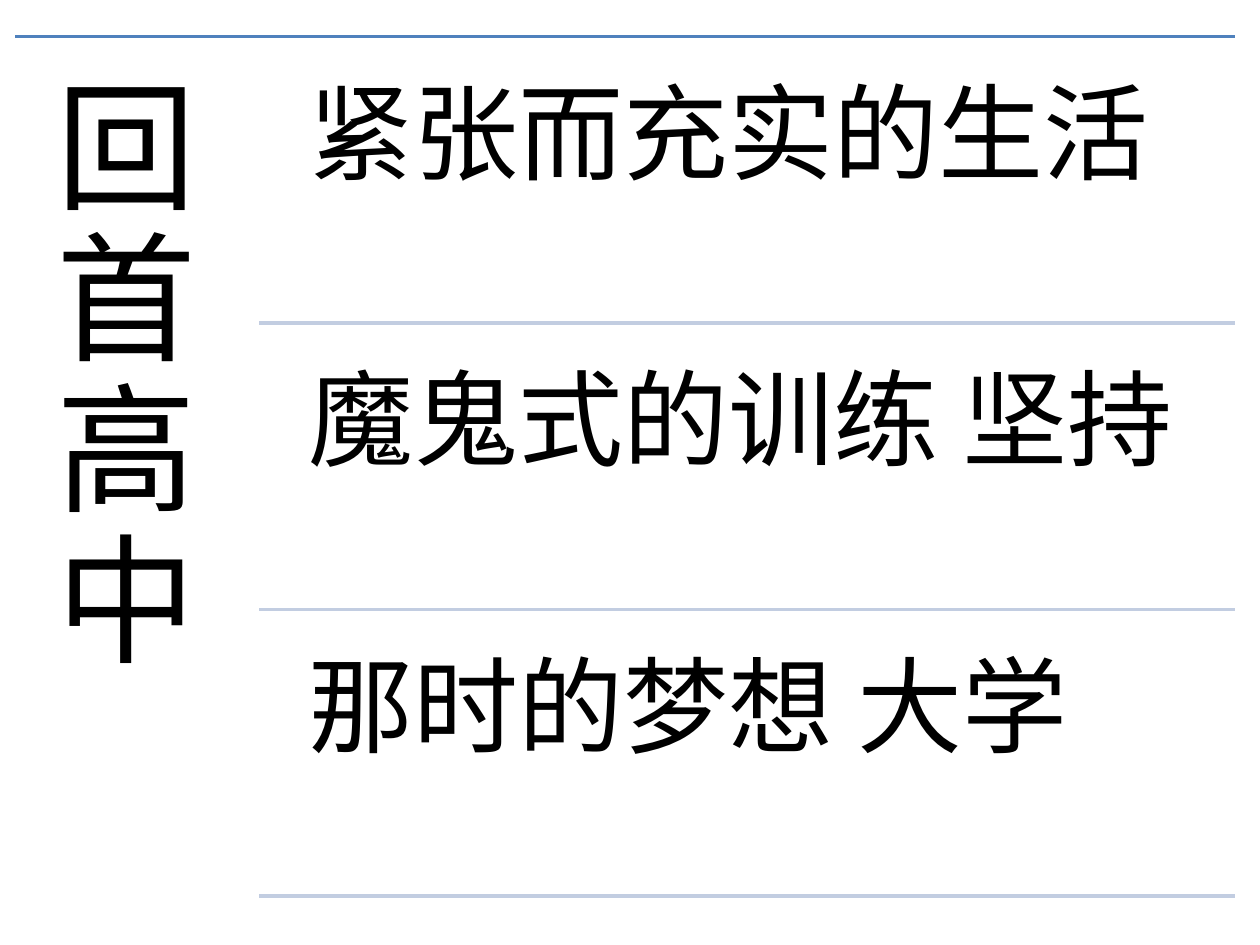
"""Build the high-school memories slide: a stacked title beside three ruled rows."""
from dataclasses import dataclass

from lxml import etree
from pptx import Presentation
from pptx.dml.color import RGBColor
from pptx.enum.shapes import MSO_CONNECTOR
from pptx.enum.text import MSO_ANCHOR, MSO_AUTO_SIZE, PP_ALIGN
from pptx.oxml.ns import qn
from pptx.util import Inches, Pt

STRAIGHT = MSO_CONNECTOR.STRAIGHT
TOP, LEFT, NO_FIT = MSO_ANCHOR.TOP, PP_ALIGN.LEFT, MSO_AUTO_SIZE.NONE

TITLE = "回首高中"
ROWS = ["紧张而充实的生活", "魔鬼式的训练 坚持", "那时的梦想 大学"]


@dataclass(frozen=True)
class Theme:
    """Colours, font and type sizes of the slide."""
    font: str = "Noto Sans CJK SC"
    text: str = "000000"
    accent: str = "4F81BD"
    rule: str = "C2CDE1"
    title: int = 80
    row: int = 60
    line: int = 2


THEME = Theme()
SLIDE_W, SLIDE_H = 10, 7.5
X0, X1, Y0, HEIGHT = 0.12, 9.8, 0.29, 6.93
TITLE_W = (X1 - X0) * 0.2
GAP = HEIGHT / 64
PITCH = HEIGHT * 0.328
ROW_X = 2.2


def set_text(shape, text, *, size, inset):
    """Write one left-aligned paragraph from the top of a shape."""
    tf = shape.text_frame
    tf.word_wrap, tf.auto_size, tf.vertical_anchor = True, NO_FIT, TOP
    tf.margin_left = tf.margin_right = Inches(inset)
    tf.margin_top = tf.margin_bottom = Inches(inset)
    p = tf.paragraphs[0]
    p.alignment, p.line_spacing, p.space_after = LEFT, 0.9, Pt(size * 0.35)
    r = p.add_run()
    r.text = text
    r.font.size, r.font.name = Pt(size), THEME.font
    r.font.color.rgb = RGBColor.from_string(THEME.text)
    ea = etree.SubElement(r.font._element, qn("a:ea"))
    ea.set("typeface", THEME.font)


def add_rule(s, x, y, color):
    """Draw a horizontal rule from x to the right edge of the grid."""
    line = s.shapes.add_connector(
        STRAIGHT, Inches(x), Inches(y), Inches(X1), Inches(y))
    line.line.color.rgb = RGBColor.from_string(color)
    line.line.width = Pt(THEME.line)
    etree.SubElement(line._element.spPr, qn("a:effectLst"))


def main():
    """Lay out the slide and save it."""
    prs = Presentation()
    prs.slide_width, prs.slide_height = Inches(SLIDE_W), Inches(SLIDE_H)
    s = prs.slides.add_slide(prs.slide_layouts[5])

    add_rule(s, X0, Y0, THEME.accent)
    title = s.shapes.title
    title.left, title.top = Inches(X0), Inches(Y0)
    title.width, title.height = Inches(TITLE_W), Inches(HEIGHT)
    set_text(title, TITLE, size=THEME.title, inset=0.33)

    for i, text in enumerate(ROWS):
        y = Y0 + GAP + i * PITCH
        row_h = PITCH - GAP
        box = s.shapes.add_textbox(
            Inches(ROW_X), Inches(y), Inches(X1 - ROW_X), Inches(row_h))
        set_text(box, text, size=THEME.row, inset=0.25)
        add_rule(s, X0 + TITLE_W, y + row_h, THEME.rule)

    prs.save("out.pptx")


if __name__ == "__main__":
    main()
